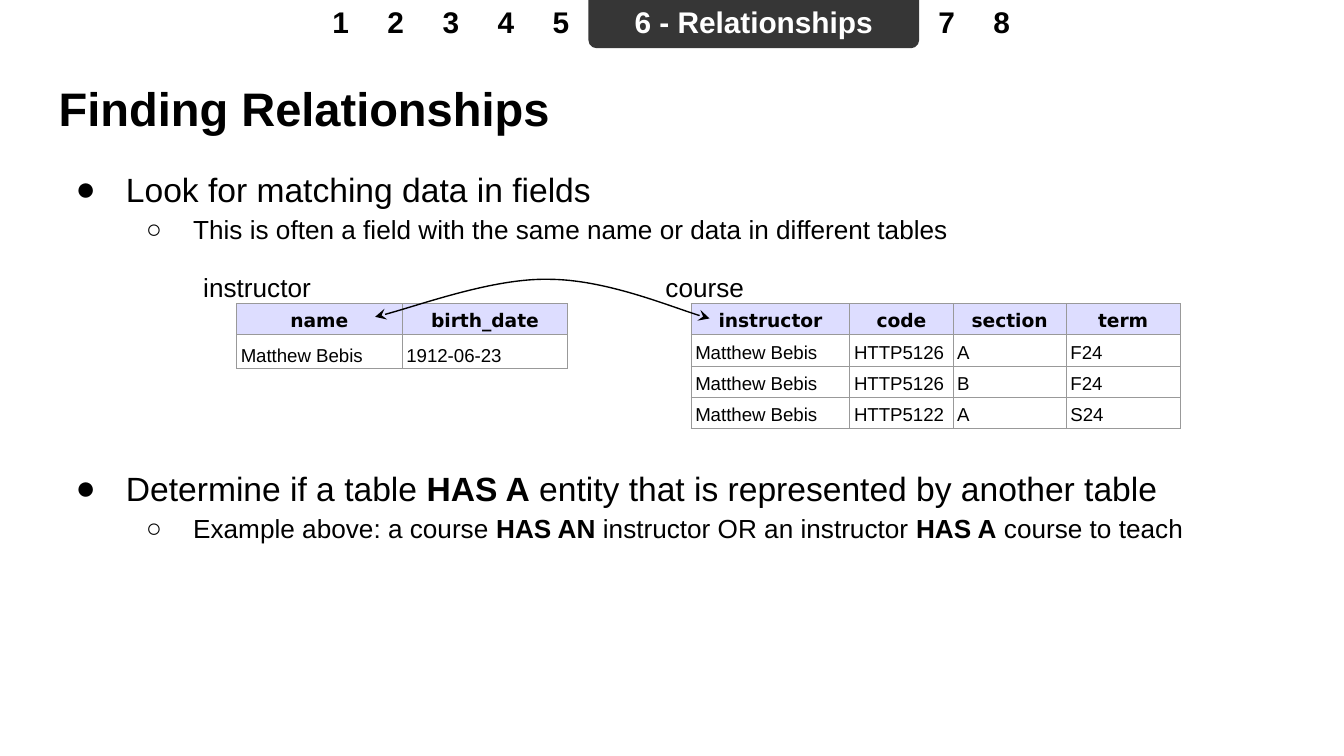
from lxml.etree import SubElement as Sub
from pptx import Presentation
from pptx.dml.color import RGBColor as Rgb
from pptx.enum.shapes import MSO_SHAPE as Shape
from pptx.enum.text import MSO_ANCHOR as Anchor, MSO_AUTO_SIZE as Fit, PP_ALIGN as Align
from pptx.oxml.ns import qn
from pptx.util import Cm, Pt

THEME = {
    "font": "Arial", "mono": "DejaVu Sans",
    "ink": "000000", "paper": "FFFFFF", "tab": "363636",
    "head": "DDDDFF", "rule": "999999",
    "title": 25.2, "nav": 16, "list": (18, 14), "label": 14, "cell": 10,
    "lead": 1.15, "pad": 0.25,
}
TITLE = "Finding Relationships"
NAV = ["1", "2", "3", "4", "5", "6 - Relationships", "7", "8"]
LISTS = [
    (2.82, ["Look for matching data in fields",
            "This is often a field with the same name or data in different tables"]),
    (8.48, ["Determine if a table *HAS A* entity that is represented by another table",
            "Example above: a course *HAS AN* instructor OR an instructor *HAS A* course to teach"]),
]
TABLES = [
    {"name": "instructor", "label": 3.12, "left": 4.47,
     "cols": [3.13, 3.13], "rows": [0.59, 0.64],
     "data": [["name", "birth_date"], ["Matthew Bebis", "1912-06-23"]]},
    {"name": "course", "label": 11.58, "left": 13.06,
     "cols": [3, 1.95, 2.14, 2.15], "rows": [0.59] * 4,
     "data": [["instructor", "code", "section", "term"],
              ["Matthew Bebis", "HTTP5126", "A", "F24"],
              ["Matthew Bebis", "HTTP5126", "B", "F24"],
              ["Matthew Bebis", "HTTP5122", "A", "S24"]]},
]
CURVE = [(7.09, 5.99), (7.65, 5.87), (9.32, 5.26), (10.36, 5.28),
         (11.43, 5.28), (12.9, 5.89), (13.41, 6.02)]
BULLETS = [("●", 1.27, -0.95), ("○", 2.54, -0.89)]
EDGE, WIDE = 0.86, 23.67
TABLE_TOP, LABEL_TOP = 5.74, 4.88
NAV_LEFT, NAV_TOP, NAV_STEP, NAV_WIDE = 5.92, -0.18, 1.04, 6.25


def color(name):
    return Rgb.from_string(THEME[name])


def style(run, size, bold=False, ink="ink", face="font"):
    font = run.font
    font.name, font.size, font.bold = THEME[face], Pt(size), bold
    font.color.rgb = color(ink)


def frame(box, anchor=Anchor.TOP):
    text = box.text_frame
    text.word_wrap, text.auto_size = True, Fit.NONE
    text.vertical_anchor = anchor
    pad = Cm(THEME["pad"])
    text.margin_left = text.margin_right = pad
    text.margin_top = text.margin_bottom = pad
    return text


def place(box, left, top, width, height):
    box.left, box.top, box.width, box.height = map(Cm, (left, top, width, height))


def label(slide, words, left, top, width, height, size, **look):
    text = frame(slide.shapes.add_textbox(*map(Cm, (left, top, width, height))))
    text.text = words
    line = text.paragraphs[0]
    line.alignment = Align.CENTER
    style(line.runs[0], size, **look)


def bullet(line, level):
    mark, left, hang = BULLETS[level]
    line.level = level
    props = line._p.get_or_add_pPr()
    props.set("marL", str(Cm(left)))
    props.set("indent", str(Cm(hang)))
    Sub(Sub(props, qn("a:buClr")), qn("a:srgbClr"), val=THEME["ink"])
    Sub(props, qn("a:buFont"), typeface=THEME["font"])
    Sub(props, qn("a:buChar"), char=mark)
    line.alignment = Align.LEFT
    line.line_spacing = THEME["lead"]
    line.space_before = line.space_after = Pt(0)


def add_list(box, top, items):
    place(box, EDGE, top, WIDE, 2)
    text = frame(box)
    for level, item in enumerate(items):
        line = text.add_paragraph() if level else text.paragraphs[0]
        bullet(line, level)
        for part, words in enumerate(item.split("*")):
            run = line.add_run()
            run.text = words
            style(run, THEME["list"][level], bold=part % 2 == 1)


def add_nav(slide):
    left = NAV_LEFT
    for words in NAV:
        chosen = len(words) > 1
        width = NAV_WIDE if chosen else NAV_STEP
        if chosen:
            tab = slide.shapes.add_shape(Shape.ROUND_2_SAME_RECTANGLE,
                                         Cm(left), 0, Cm(width), Cm(0.91))
            tab.rotation = 180
            tab.adjustments[0], tab.adjustments[1] = 0.167, 0
            tab.shadow.inherit = False
            tab.fill.solid()
            tab.fill.fore_color.rgb = color("tab")
            tab.line.fill.background()
        label(slide, words, left, NAV_TOP, width, 1.07, THEME["nav"],
              bold=True, ink="paper" if chosen else "ink")
        left += width


def fill_cell(cell, words, head):
    props = cell._tc.get_or_add_tcPr()
    for side in ("lnL", "lnR", "lnT", "lnB"):
        rule = Sub(props, qn("a:" + side), w=str(Pt(0.6)))
        Sub(Sub(rule, qn("a:solidFill")), qn("a:srgbClr"), val=THEME["rule"])
    cell.fill.solid()
    cell.fill.fore_color.rgb = color("head" if head else "paper")
    cell.margin_left = cell.margin_right = Cm(0.08)
    cell.margin_top = cell.margin_bottom = Cm(0.05)
    cell.vertical_anchor = Anchor.BOTTOM
    cell.text_frame.text = words
    line = cell.text_frame.paragraphs[0]
    line.alignment = Align.CENTER if head else Align.LEFT
    line.line_spacing = THEME["lead"]
    style(line.runs[0], THEME["cell"], bold=head, face="mono" if head else "font")


def add_grid(slide, item):
    cols, rows = item["cols"], item["rows"]
    size = map(Cm, (item["left"], TABLE_TOP, sum(cols), sum(rows)))
    table = slide.shapes.add_table(len(rows), len(cols), *size).table
    for col, width in zip(table.columns, cols):
        col.width = Cm(width)
    for row, height, data in zip(table.rows, rows, item["data"]):
        row.height = Cm(height)
        for cell, words in zip(row.cells, data):
            fill_cell(cell, words, data is item["data"][0])


def add_curve(slide):
    start, *rest = [(Cm(x), Cm(y)) for x, y in CURVE]
    build = slide.shapes.build_freeform(*start)
    build.add_line_segments(rest, close=False)
    curve = build.convert_to_shape()
    route = next(curve.element.iter(qn("a:path")))
    steps = route.findall(qn("a:lnTo"))
    for first in range(0, len(steps), 3):
        bend = Sub(route, qn("a:cubicBezTo"))
        for step in steps[first:first + 3]:
            bend.append(step[0])
            route.remove(step)
    curve.shadow.inherit = False
    curve.fill.background()
    curve.line.color.rgb = color("ink")
    curve.line.width = Pt(0.75)
    line = curve.element.spPr.find(qn("a:ln"))
    for end in ("a:headEnd", "a:tailEnd"):
        Sub(line, qn(end), type="stealth", w="med", len="med")


def main():
    deck = Presentation()
    deck.slide_width, deck.slide_height = Cm(25.4), Cm(14.29)
    slide = deck.slides.add_slide(deck.slide_layouts[3])
    title, *bodies = slide.placeholders
    place(title, EDGE, 1.24, WIDE, 1.6)
    text = frame(title, Anchor.MIDDLE)
    text.text = TITLE
    text.paragraphs[0].alignment = Align.LEFT
    style(text.paragraphs[0].runs[0], THEME["title"], bold=True)
    add_nav(slide)
    for item in TABLES:
        add_grid(slide, item)
        label(slide, item["name"], item["label"], LABEL_TOP, 3.48, 1.12, THEME["label"])
    add_curve(slide)
    for box, (top, items) in zip(bodies, LISTS):
        add_list(box, top, items)
    deck.save("out.pptx")


if __name__ == "__main__":
    main()
